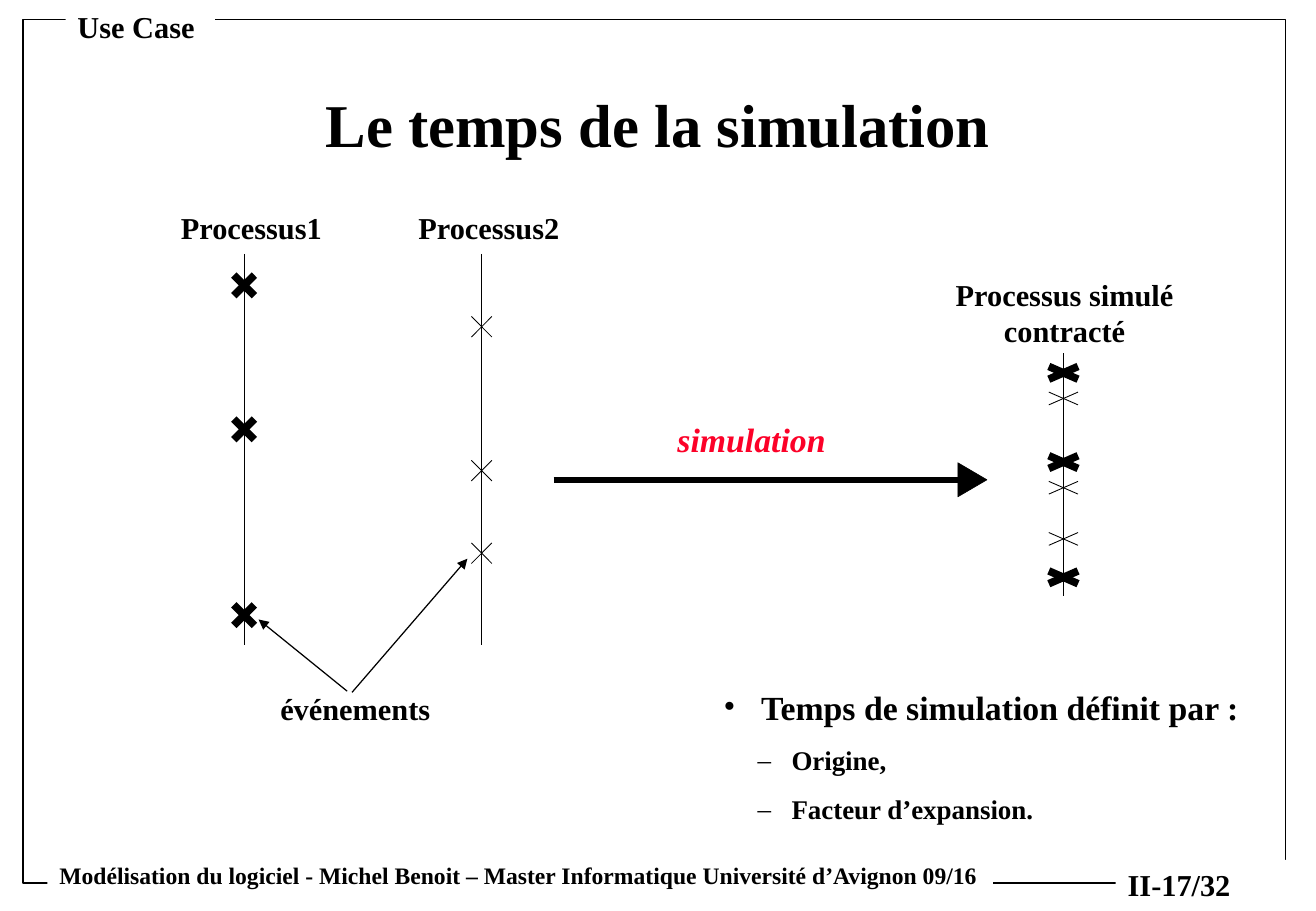
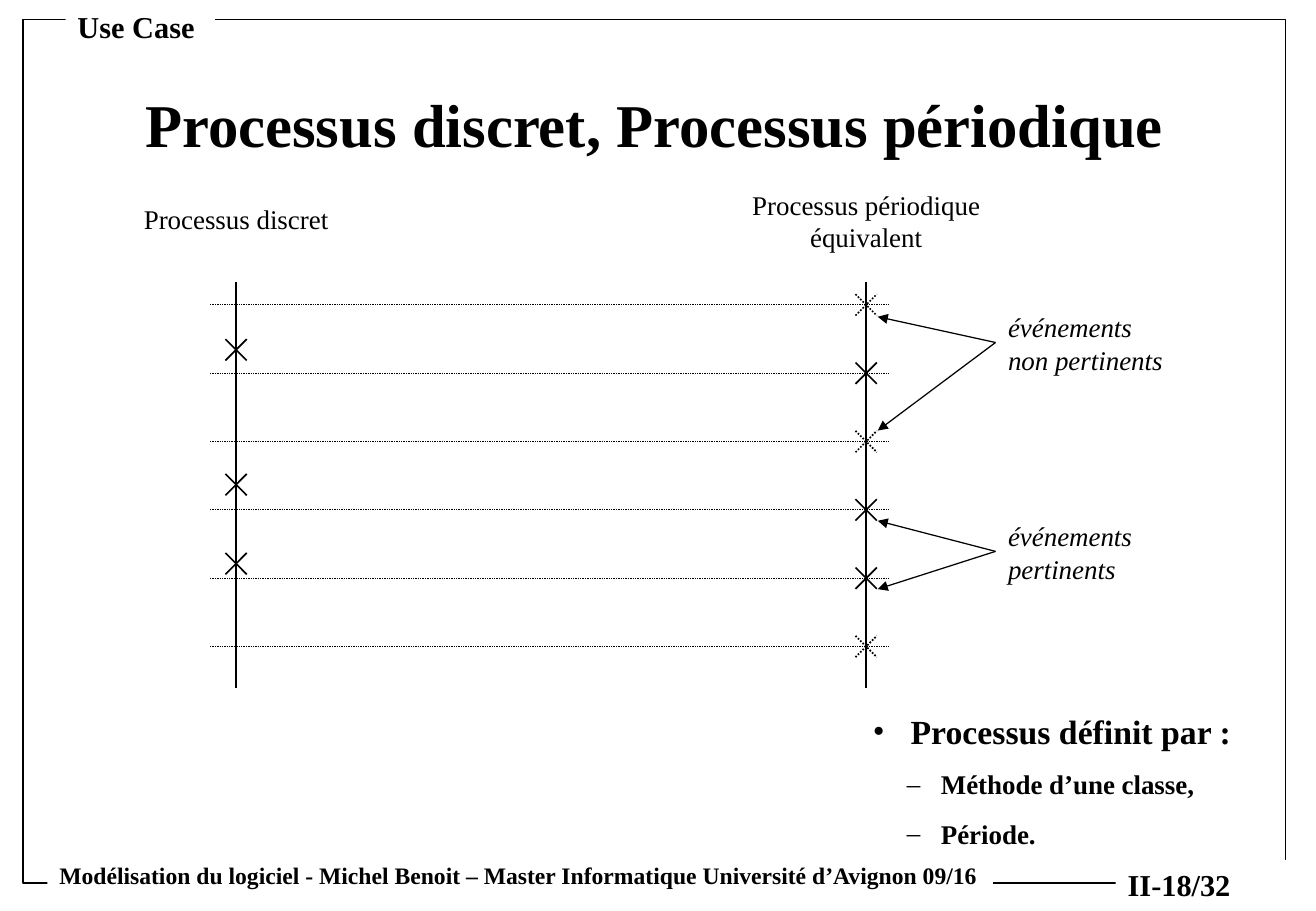
from pptx import Presentation
from pptx.dml.color import RGBColor
from pptx.enum.dml import MSO_LINE
from pptx.enum.shapes import MSO_CONNECTOR, MSO_SHAPE
from pptx.enum.text import MSO_ANCHOR, MSO_AUTO_SIZE, PP_ALIGN
from pptx.oxml.ns import qn
from pptx.util import Inches, Pt
from lxml import etree

BLACK = RGBColor(0x00, 0x00, 0x00)
WHITE = RGBColor(0xFF, 0xFF, 0xFF)
RED = RGBColor(0xFC, 0x01, 0x28)
FONT = "Times New Roman"
LEFT, MID = PP_ALIGN.LEFT, PP_ALIGN.CENTER
TOP, CENTRE = MSO_ANCHOR.TOP, MSO_ANCHOR.MIDDLE
NO_FIT = MSO_AUTO_SIZE.NONE
RECT, DIRECT = MSO_SHAPE.RECTANGLE, MSO_CONNECTOR.STRAIGHT
DOTS = MSO_LINE.ROUND_DOT

# Grid: 100 columns by 100 rows
deck = Presentation()
deck.slide_width, deck.slide_height = Inches(10.84), Inches(7.5)
COL, ROW = deck.slide_width / 100, deck.slide_height / 100


def put(slide, text, x, y, wide, high, size=18, bold=False, slant=False,
        color=BLACK, align=LEFT, anchor=TOP, pad=0, fill=None, holder=None):
    box = (int(x * COL), int(y * ROW), int(wide * COL), int(high * ROW))
    shape = holder or slide.shapes.add_textbox(*box)
    shape.left, shape.top, shape.width, shape.height = box
    if fill is not None:
        shape.fill.solid()
        shape.fill.fore_color.rgb = fill
    frame = shape.text_frame
    frame.word_wrap, frame.auto_size = True, NO_FIT
    frame.vertical_anchor = anchor
    frame.margin_left = frame.margin_right = Inches(pad)
    frame.margin_top = frame.margin_bottom = Inches(pad / 2)
    frame.text = text
    for para in frame.paragraphs:
        para.alignment = align
        for run in para.runs:
            font = run.font
            font.name, font.size = FONT, Pt(size)
            font.bold, font.italic = bold, slant
            font.color.rgb = color
    return shape


def draw(slide, x1, y1, x2, y2, width=0.5, dash=None, arrow=False):
    line = slide.shapes.add_connector(
        DIRECT, int(x1 * COL), int(y1 * ROW), int(x2 * COL), int(y2 * ROW))
    line.line.color.rgb = BLACK
    line.line.width = Pt(width)
    if dash:
        line.line.dash_style = dash
    props = line.element.spPr
    if arrow:
        etree.SubElement(props.find(qn("a:ln")), qn("a:tailEnd"), type="triangle")
    etree.SubElement(props, qn("a:effectLst"))


# Slides with title, list and page number
layout = deck.slide_layouts[1]
for holder in list(layout.placeholders):
    if holder.placeholder_format.idx >= 10:
        holder.element.getparent().remove(holder.element)

PAGES = [
    ("Le temps de la simulation", 10.8, 78.4, "II-17/32", (54.06, 74.67, 41.88),
     "Temps de simulation définit par :\nOrigine,\nFacteur d’expansion."),
    ("Processus discret, Processus périodique", 6.73, 86, "II-18/32",
     (65.41, 77.33, 31.46),
     "Processus définit par :\nMéthode d’une classe,\nPériode."),
]
slides = []
for title, x, wide, page, spot, points in PAGES:
    slide = deck.slides.add_slide(layout)
    slides.append(slide)
    head = put(slide, title, x, 5.73, wide, 16.67, size=36, bold=True, align=MID,
               anchor=CENTRE, pad=0.1, holder=slide.shapes.title)
    head.text_frame.paragraphs[0].line_spacing = 0.9
    body = put(slide, points, *spot, 16.67, size=16, bold=True, pad=0.1,
               holder=slide.placeholders[1])
    for i, para in enumerate(body.text_frame.paragraphs):
        para.level = 1 if i else 0
        para.space_before = Pt(10 if i else 12.5)
        if i == 0:
            para.runs[0].font.size = Pt(20)
        props = para._p.get_or_add_pPr()
        props.set("marL", str(Inches(0.56 if i else 0.31)))
        props.set("indent", str(-Inches(0.28 if i else 0.31)))
        etree.SubElement(props, qn("a:buFont"), typeface=FONT)
        etree.SubElement(props, qn("a:buChar"), char="–" if i else "•")
    put(slide, page, 84.78, 94.4, 15.22, 5.33, bold=True, pad=0.1, fill=WHITE)

time, period = slides

# Frame, header and footer, moved to the shared layout
frame = time.shapes.add_shape(RECT, int(1.75 * COL), int(2.13 * ROW),
                              int(95.94 * COL), int(94.8 * ROW))
frame.fill.background()
frame.line.color.rgb = BLACK
frame.line.width = Pt(1)
frame.shadow.inherit = False
foot = put(time, "Modélisation du logiciel - Michel Benoit – "
           "Master Informatique Université d’Avignon 09/16",
           3.6, 93.87, 71.86, 4.4, size=14, bold=True, pad=0.1, fill=WHITE)
theme = put(time, "Use Case", 4.98, 0.27, 11.35, 5.33, bold=True, pad=0.1,
            fill=WHITE)
for shape in (frame, foot, theme):
    layout.shapes.element.append(shape.element)

# Slide 1: two processes, and both contracted on one axis
START, END = 27.87, 70.8
FIRST, SCALE = 31.33, 0.62
SIM, ORIGIN = 80.81, 40.93
TRACKS = [("Processus1", 18.55, 4.5, (FIRST, 47.13, 67.53)),
          ("Processus2", 36.6, 0.5, (35.87, 51.67, 60.73))]
draw(time, SIM, ORIGIN + (START - FIRST) * SCALE,
     SIM, ORIGIN + (END - FIRST) * SCALE)
for name, x, width, events in TRACKS:
    put(time, name, x - 6.45, 22.93, 14, 4, bold=True, align=MID)
    draw(time, x, START, x, END)
    for y in events:
        short = ORIGIN + (y - FIRST) * SCALE
        for side in (-1, 1):
            rise = 1.13 * side
            draw(time, x - 0.78, y - rise, x + 0.78, y + rise, width)
            draw(time, SIM - 1.11, short - rise * SCALE,
                 SIM + 1.11, short + rise * SCALE, width)
put(time, "Processus simulé\ncontracté", 71, 30.27, 19.8, 8, bold=True, align=MID)

# Simulation arrow
draw(time, 42.07, 52.67, 73.34, 52.67, 3.25)
build = time.shapes.build_freeform(int(72.79 * COL), int(50.8 * ROW))
build.add_line_segments([(int(72.79 * COL), int(54.53 * ROW)),
                         (int(75 * COL), int(52.67 * ROW))], close=True)
tip = build.convert_to_shape()
tip.fill.solid()
tip.fill.fore_color.rgb = BLACK
tip.line.color.rgb = BLACK
tip.line.width = Pt(0.37)
tip.shadow.inherit = False
put(time, "simulation", 51.48, 46, 13, 4.4, size=20, bold=True, slant=True,
    color=RED)

# Event pointers
put(time, "événements", 19.5, 75.07, 15, 5.33, bold=True, align=MID, anchor=CENTRE)
draw(time, 26.75, 76, 35.52, 61.33, 0.75, arrow=True)
draw(time, 26.38, 75.87, 19.65, 68, 0.75, arrow=True)

# Slide 2: discrete axis and periodic axis
DISC, PER = 17.94, 65.82
ticks = [33.47 + 7.5 * i for i in range(6)]
IDLE = (0, 2, 5)
put(period, "Processus discret", DISC - 9.5, 22.27, 19, 7, size=16, align=MID)
put(period, "Processus périodique équivalent", PER - 11, 20.67, 22, 10,
    size=16, align=MID)
for x in (DISC, PER):
    draw(period, x, 30.93, x, 75.47, 1)
marks = [(DISC, y, None) for y in (38.4, 53.2, 61.87)]
for i, y in enumerate(ticks):
    draw(period, 67.53, y, 15.96, y, 0.5, DOTS)
    marks.append((PER, y, DOTS if i in IDLE else None))
for x, y, dash in marks:
    for side in (-1, 1):
        rise = 1.17 * side
        draw(period, x - 0.81, y - rise, x + 0.81, y + rise, 1, dash)

# Notes on the events
NOTES = [
    ("événements\nnon pertinents", 34.13, 37.6, (ticks[0] + 1.3, ticks[2] - 1.2)),
    ("événements\npertinents", 57.07, 60.53, (ticks[3] + 1.2, ticks[4] + 1.2)),
]
for text, top, root, ends in NOTES:
    put(period, text, 76.6, top, 15, 8, size=16, slant=True)
    for y in ends:
        draw(period, 75.65, root, 66.7, y, 0.75, arrow=True)

deck.save("out.pptx")
